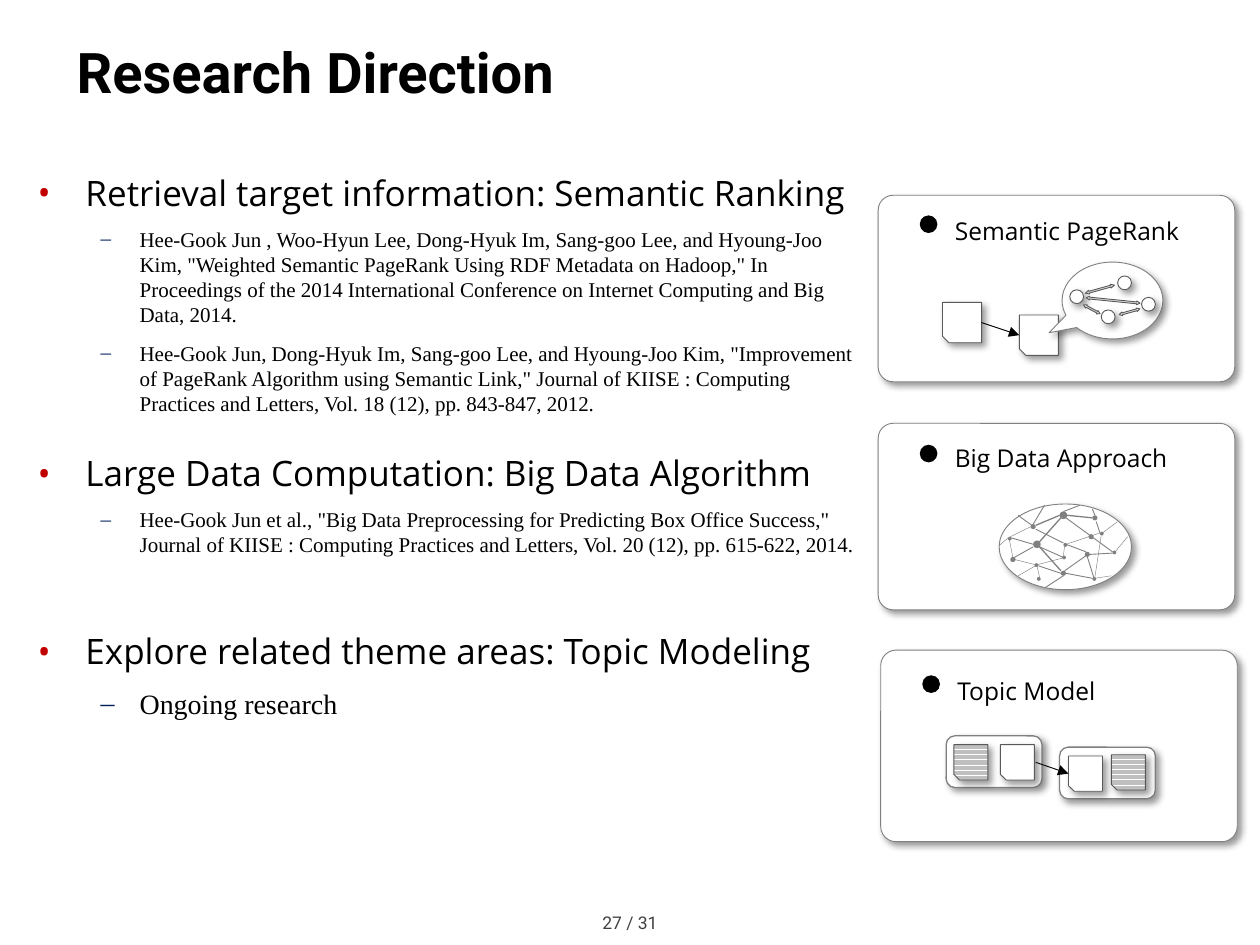
"""Build the Research Direction slide: cited themes on the left, three sketched cards on the right."""
from lxml.etree import SubElement
from pptx import Presentation
from pptx.dml.color import RGBColor
from pptx.enum.dml import MSO_PATTERN
from pptx.enum.shapes import MSO_CONNECTOR, MSO_SHAPE
from pptx.enum.text import MSO_ANCHOR, PP_ALIGN
from pptx.oxml.ns import qn
from pptx.util import Cm, Pt

BLACK, WHITE, GREY, DARK = "000000", "FFFFFF", "808080", "595959"
HEADING = {"bullet": "C00000", "font": "Open Sans", "margin": 0.38, "indent": -0.38}
DETAIL = {"bullet": "002060", "font": "Times New Roman", "margin": 0.81, "indent": -0.31}

BODY = [
    (HEADING, "•", 20, 0, "Retrieval target information: Semantic Ranking"),
    (DETAIL, "–", 12, 2.5, 'Hee-Gook Jun , Woo-Hyun Lee, Dong-Hyuk Im, Sang-goo Lee, and Hyoung-Joo Kim, '
     '"Weighted Semantic PageRank Using RDF Metadata on Hadoop," In Proceedings of the 2014 '
     'International Conference on Internet Computing and Big Data, 2014.'),
    (DETAIL, "–", 12, 2.5, 'Hee-Gook Jun, Dong-Hyuk Im, Sang-goo Lee, and Hyoung-Joo Kim, "Improvement of '
     'PageRank Algorithm using Semantic Link," Journal of KIISE : Computing Practices and Letters, '
     'Vol. 18 (12), pp. 843-847, 2012.'),
    (HEADING, "•", 20, 15.5, "Large Data Computation: Big Data Algorithm"),
    (DETAIL, "–", 12, 2.5, 'Hee-Gook Jun et al., "Big Data Preprocessing for Predicting Box Office Success," '
     'Journal of KIISE : Computing Practices and Letters, Vol. 20 (12), pp. 615-622, 2014.'),
    (HEADING, "•", 20, 36.5, "Explore related theme areas: Topic Modeling"),
    (DETAIL, "–", 16, 3.5, "Ongoing research"),
]
CARDS = [
    ("Semantic PageRank", 6.97, 1.55, 1.48, 1.71, 1.55),
    ("Big Data Approach", 6.97, 3.36, 1.48, 3.53, 3.35),
    ("Topic Model", 6.99, 5.16, 1.52, 5.36, 5.20),
]
PAGES = [(8.09, 2.5), (7.48, 2.4)]
GRAPH_NODES = [(8.87, 2.19), (8.74, 2.46), (9.06, 2.36), (8.49, 2.3)]
GRAPH_ARROWS = [
    (8.61, 2.28, 0.24, 344.4, 1.03), (8.59, 2.44, 0.15, 28.2, 0.87),
    (8.62, 2.37, 0.43, 5.8, 0.91), (8.88, 2.46, 0.17, 344.5, 0.85),
]
TOPICS = [
    (7.51, 5.84, [(7.57, 5.91, True), (7.94, 5.91, False)]),
    (8.41, 5.93, [(8.82, 5.99, True), (8.48, 6, False)]),
]
ARROWS = [(7.79, 2.56, 8.09, 2.66), (8.22, 6.05, 8.48, 6.14)]
MESH_NODES = {
    0.03: [(8.21, 4.47), (8.44, 4.31), (8.67, 4.58), (8.73, 4.22), (8.83, 4.37), (8, 4.26),
           (8.43, 4.41), (8.02, 4.43), (8.23, 4.58)],
    0.04: [(8.18, 4.16), (8.42, 4.53), (8.67, 4.09), (8.61, 4.38), (8.02, 4.42), (8.64, 4.24)],
    0.06: [(8.2, 4.29), (8.41, 4.06)],
}
MESH_LINKS = {
    0.25: [(8.18, 4.18, 8.02, 4.26), (8.73, 4.23, 8.46, 4.32), (8.87, 4.14, 8.75, 4.23),
           (8.45, 4.33, 8.44, 4.41), (8.43, 4.43, 8.24, 4.48), (8.01, 4.28, 8.04, 4.43),
           (8.05, 4.44, 8.21, 4.48), (8.22, 4.49, 8.08, 4.57), (8, 4.27, 7.93, 4.33),
           (8.74, 4.25, 8.69, 4.58), (8.69, 4.59, 8.82, 4.57), (8.23, 4.49, 8.25, 4.58),
           (8.95, 4.26, 8.85, 4.38)],
    0.5: [(8.44, 4.31, 8.22, 4.2), (8.83, 4.38, 8.46, 4.11), (8.62, 4.41, 8.45, 4.53),
          (8.42, 4.55, 8.24, 4.49), (8.67, 4.59, 8.46, 4.55), (8.63, 4.42, 8.68, 4.58),
          (8.62, 4.38, 8.46, 4.32), (8.7, 4.14, 8.73, 4.23), (8.83, 4.39, 8.65, 4.4),
          (8.19, 4.17, 8.08, 4.09), (8.2, 4.16, 8.29, 4.01), (8.69, 4.09, 8.67, 4.04),
          (8.44, 4.06, 8.57, 4.01), (8.25, 4.34, 8.43, 4.42), (8.2, 4.34, 8.04, 4.43),
          (8.2, 4.32, 8.03, 4.27), (8.44, 4.57, 8.3, 4.66)],
    0.75: [(8.42, 4.11, 8.25, 4.3), (8.47, 4.09, 8.67, 4.11), (8.41, 4.09, 8.22, 4.17),
           (8.42, 4.53, 8.25, 4.34)],
}


def length(inches):
    return Cm(inches * 2.54)


def color(value):
    return RGBColor.from_string(value)


def add_figure(kind, box, fill=WHITE, line=GREY, width=0.5, shadow=True, adjustments=(), rotation=0):
    shape = slide.shapes.add_shape(kind, *map(length, box))
    shape.shadow.inherit = False
    shape.rotation = rotation
    for index, value in enumerate(adjustments):
        shape.adjustments[index] = value
    shape.fill.solid()
    shape.fill.fore_color.rgb = color(fill)
    if line:
        shape.line.color.rgb = color(line)
        shape.line.width = Pt(width)
    else:
        shape.line.fill.background()
    if shadow:
        effects = shape._element.spPr.find(qn("a:effectLst"))
        outer = SubElement(effects, qn("a:outerShdw"), blurRad=str(Pt(4)), dist=str(Pt(3)),
                           dir="2700000", algn="tl", rotWithShape="0")
        tint = SubElement(outer, qn("a:srgbClr"), val=BLACK)
        SubElement(tint, qn("a:alpha"), val="40000")
    return shape


def add_line(ends, line=GREY, width=0.5, arrow=False):
    connector = slide.shapes.add_connector(MSO_CONNECTOR.STRAIGHT, *map(length, ends))
    connector.line.color.rgb = color(line)
    connector.line.width = Pt(width)
    if arrow:
        SubElement(connector.line._get_or_add_ln(), qn("a:tailEnd"), type="triangle")
    SubElement(connector._element.spPr, qn("a:effectLst"))


def add_frame(box, anchor=MSO_ANCHOR.TOP):
    frame = slide.shapes.add_textbox(*map(length, box)).text_frame
    frame.word_wrap = True
    frame.vertical_anchor = anchor
    return frame


def add_run(paragraph, text, font, size, tint=BLACK, bold=False):
    run = paragraph.add_run()
    run.text = text
    run.font.name, run.font.size, run.font.bold = font, Pt(size), bold
    run.font.color.rgb = color(tint)


def add_body(box):
    frame = add_frame(box)
    for index, (style, bullet, size, before, text) in enumerate(BODY):
        paragraph = frame.add_paragraph() if index else frame.paragraphs[0]
        properties = paragraph._p.get_or_add_pPr()
        properties.set("marL", str(length(style["margin"])))
        properties.set("indent", str(length(style["indent"])))
        SubElement(SubElement(properties, qn("a:buClr")), qn("a:srgbClr"), val=style["bullet"])
        SubElement(properties, qn("a:buFont"), typeface=style["font"])
        SubElement(properties, qn("a:buChar"), char=bullet)
        paragraph.space_before, paragraph.space_after = Pt(before), Pt(5)
        add_run(paragraph, text, style["font"], size)


def add_card(title, left, top, height, dot_top, label_top):
    add_figure(MSO_SHAPE.ROUNDED_RECTANGLE, (left, top, 2.83, height), adjustments=[0.08])
    add_figure(MSO_SHAPE.OVAL, (left + 0.33, dot_top, 0.14, 0.14), BLACK, None, shadow=False)
    paragraph = add_frame((left + 0.51, label_top, 2.04, 0.41)).paragraphs[0]
    paragraph.line_spacing = Pt(25)
    add_run(paragraph, title, "Open Sans", 14)


def add_page(left, top, width, height, striped=False):
    page = add_figure(MSO_SHAPE.SNIP_1_RECTANGLE, (left, top, width, height), line=DARK, rotation=180)
    if striped:
        page.fill.patterned()
        page.fill.pattern = MSO_PATTERN.DARK_HORIZONTAL
        page.fill.fore_color.rgb, page.fill.back_color.rgb = color("BFBFBF"), color(WHITE)


presentation = Presentation()
presentation.slide_width, presentation.slide_height = length(10), length(7.5)
slide = presentation.slides.add_slide(presentation.slide_layouts[6])

footer = add_frame((0, 7.19, 10, 0.27))
footer.margin_left = footer.margin_right = length(0.08)
footer.paragraphs[0].alignment = PP_ALIGN.CENTER
add_run(footer.paragraphs[0], "27 / 31", "Roboto", 10, "404040")
heading = add_frame((0.51, 0.13, 9.29, 0.87), MSO_ANCHOR.MIDDLE)
add_run(heading.paragraphs[0], "Research Direction", "Roboto", 32, bold=True)
add_body((0.2, 1.31, 6.69, 5.83))
for card in CARDS:
    add_card(*card)

for left, top in PAGES:
    add_page(left, top, 0.31, 0.32)
add_figure(MSO_SHAPE.OVAL_CALLOUT, (8.43, 2.08, 0.8, 0.61), adjustments=[-0.63, 0.42])
for left, top in GRAPH_NODES:
    add_figure(MSO_SHAPE.OVAL, (left, top, 0.11, 0.11), line=DARK)
for left, top, width, rotation, head in GRAPH_ARROWS:
    add_figure(MSO_SHAPE.LEFT_RIGHT_ARROW, (left, top, width, 0.03), "D9D9D9", DARK,
               shadow=False, adjustments=[0.5, head], rotation=rotation)

for left, top, pages in TOPICS:
    add_figure(MSO_SHAPE.ROUNDED_RECTANGLE, (left, top, 0.76, 0.41), width=0.75)
    for page_left, page_top, striped in pages:
        add_page(page_left, page_top, 0.27, 0.28, striped)
for ends in ARROWS:
    add_line(ends, BLACK, arrow=True)

add_figure(MSO_SHAPE.OVAL, (7.93, 4, 1.05, 0.68))
for size, nodes in MESH_NODES.items():
    for left, top in nodes:
        add_figure(MSO_SHAPE.OVAL, (left, top, size, size), GREY, None, shadow=False)
for width, links in MESH_LINKS.items():
    for ends in links:
        add_line(ends, width=width)

presentation.save("out.pptx")
